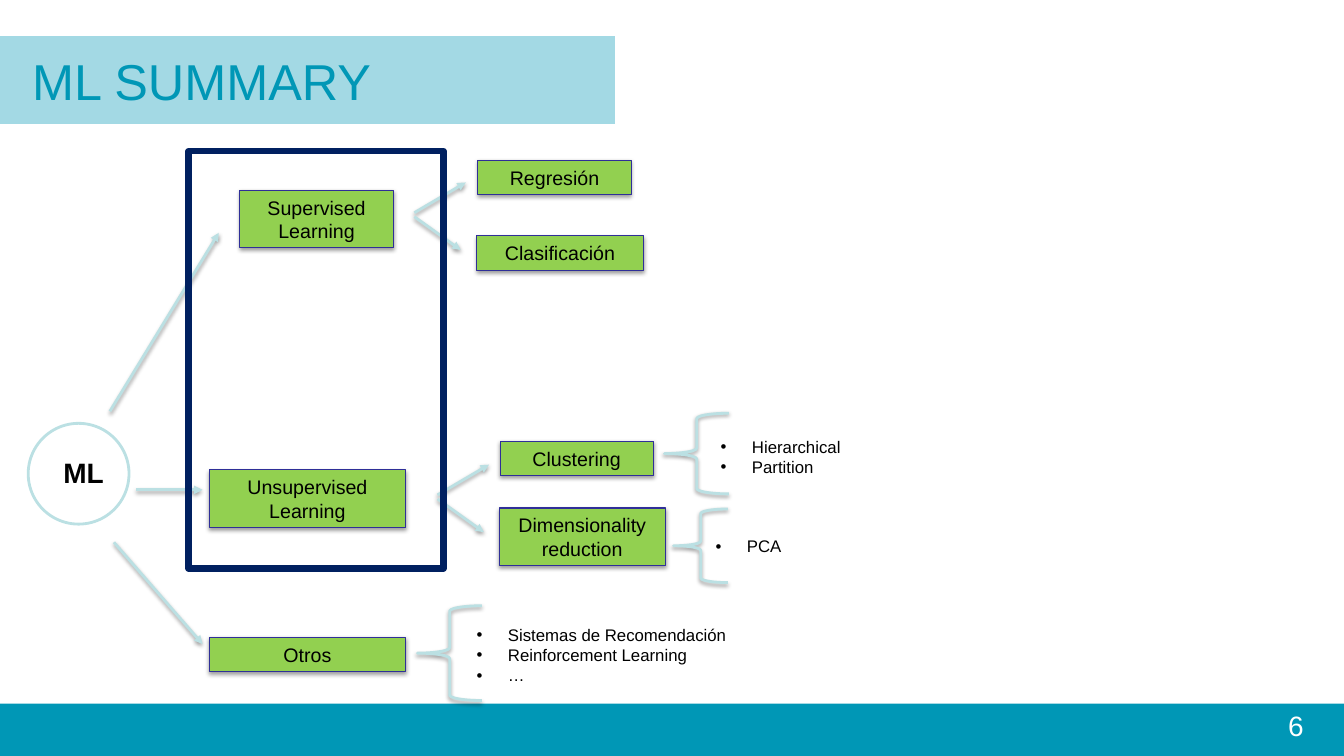
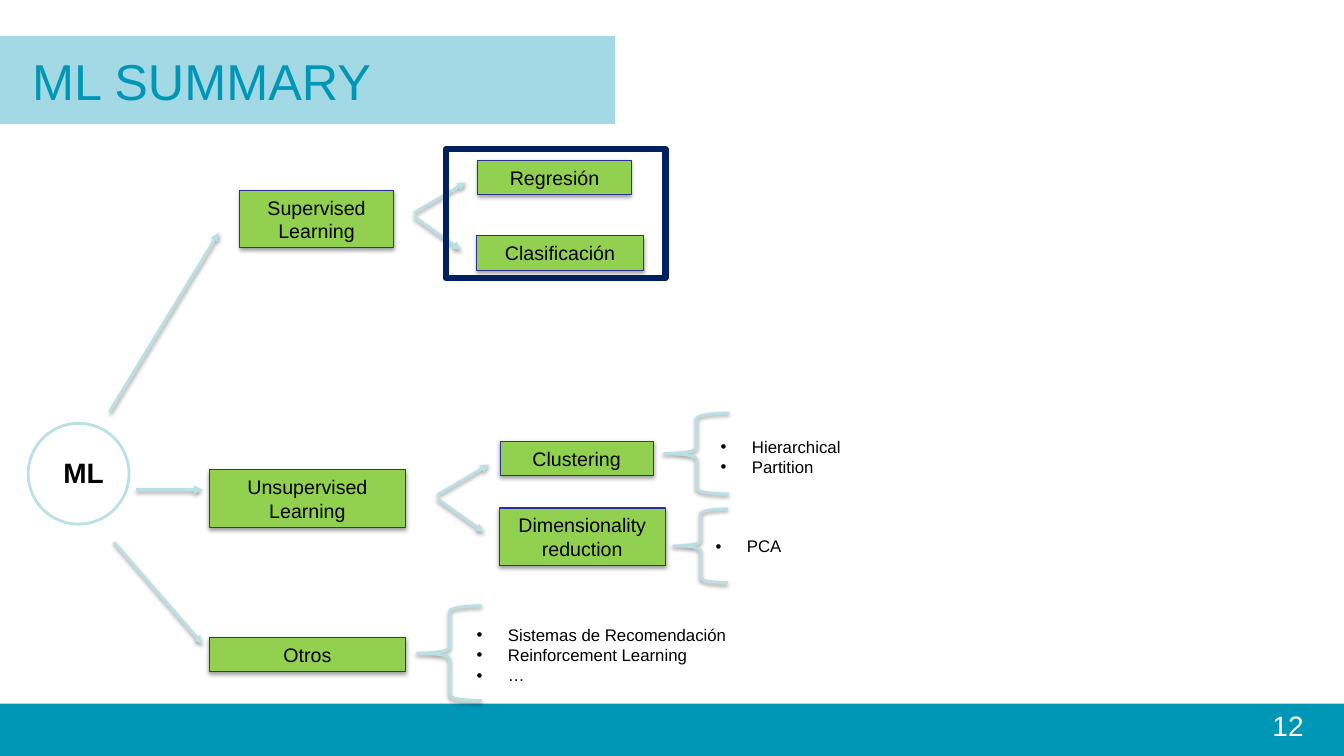
from lxml import etree
from pptx import Presentation, util as u
from pptx.dml.color import RGBColor
from pptx.enum import shapes, text
from pptx.oxml.ns import qn

WIDTH, HEIGHT = 13.33, 7.5
FONT = "Arial"
TEAL, WHITE, BLACK = "0097B6", "FFFFFF", "000000"
GREEN, INDIGO, PALE, NAVY = "92D050", "2F2F98", "BBE0E3", "002060"
KIND, ALIGN, ANCHOR = shapes.MSO_SHAPE, text.PP_ALIGN, text.MSO_ANCHOR

TITLE = "ML SUMMARY"
# Slide number and the frame that marks the current topic
SLIDES = [
    ("6", (1.87, 1.5, 2.53, 4.14)),
    ("12", (4.42, 1.48, 2.18, 1.28)),
]
ONE_LINE, TWO_LINES = 0.34, 0.57
TOPICS = [
    ("Supervised Learning", 2.38, 1.89, 1.52, TWO_LINES),
    ("Unsupervised Learning", 2.08, 4.66, 1.94, TWO_LINES),
    ("Otros", 2.08, 6.32, 1.94, ONE_LINE),
    ("Regresión", 4.74, 1.59, 1.52, ONE_LINE),
    ("Clasificación", 4.73, 2.34, 1.65, ONE_LINE),
    ("Clustering", 4.96, 4.38, 1.52, ONE_LINE),
    ("Dimensionality reduction", 4.95, 5.04, 1.65, TWO_LINES),
]
ROOT_ARROWS = [
    ((1.09, 4.08), (2.17, 2.31)),
    ((1.35, 4.86), (2.01, 4.86)),
    ((1.13, 5.38), (2.01, 6.39)),
]
FORKS = [(4.11, 2.11), (4.34, 4.91)]
FORK_GAP, FORK_UP, FORK_DOWN = 0.04, (0.51, -0.3), (0.46, 0.33)
# Brace position and size, list position, list items
DETAILS = [
    ((6.59, 4.1, 0.64, 0.8), (7.05, 4.28), ["Hierarchical", "Partition"]),
    ((6.68, 5.05, 0.54, 0.73), (7, 5.27), ["PCA"]),
    ((4.14, 6.01, 0.64, 0.94), (4.63, 6.15),
     ["Sistemas de Recomendación", "Reinforcement Learning", "…"]),
]
LIST_WIDTH, LIST_LINE, LIST_PADDING, LIST_INDENT = 3.24, 0.2, 0.1, 0.31


def rgb(color):
    return RGBColor.from_string(color)


def add_xml(parent, tag, **attributes):
    values = {name: str(value) for name, value in attributes.items()}
    return etree.SubElement(parent, qn(tag), values)


def add_shadow(properties):
    for effects in properties.findall(qn("a:effectLst")):
        properties.remove(effects)
    shadow = add_xml(add_xml(properties, "a:effectLst"), "a:outerShdw",
                     blurRad=u.Pt(3.1), dist=u.Pt(1.6), dir=90 * 60000,
                     rotWithShape=0)
    add_xml(add_xml(shadow, "a:srgbClr", val=BLACK), "a:alpha", val=38000)


def add_shape(slide, kind, box, fill=None, line=None, width=2, shadow=False):
    shape = slide.shapes.add_shape(kind, *map(u.Inches, box))
    shape.shadow.inherit = False
    if fill:
        shape.fill.solid()
        shape.fill.fore_color.rgb = rgb(fill)
    else:
        shape.fill.background()
    if line:
        shape.line.color.rgb = rgb(line)
        shape.line.width = u.Pt(width)
    else:
        shape.line.fill.background()
    if shadow:
        add_shadow(shape.element.spPr)
    return shape


def write(shape, lines, size=14, color=BLACK, bold=False, align=ALIGN.LEFT,
          anchor=ANCHOR.MIDDLE, left=0.1, right=0.1, bullets=False):
    frame = shape.text_frame
    frame.word_wrap = True
    frame.vertical_anchor = anchor
    frame.margin_left, frame.margin_right = u.Inches(left), u.Inches(right)
    frame.text = "\n".join(lines)
    for paragraph in frame.paragraphs:
        paragraph.alignment = align
        font = paragraph.runs[0].font
        font.name, font.size, font.bold = FONT, u.Pt(size), bold
        font.color.rgb = rgb(color)
        if bullets:
            properties = paragraph._p.get_or_add_pPr()
            properties.set("marL", str(u.Inches(LIST_INDENT)))
            properties.set("indent", str(-u.Inches(LIST_INDENT)))
            add_xml(properties, "a:buFont", typeface=FONT)
            add_xml(properties, "a:buChar", char="•")


def add_arrow(slide, start, end):
    arrow = slide.shapes.add_connector(shapes.MSO_CONNECTOR.STRAIGHT,
                                       *map(u.Inches, start + end))
    arrow.line.color.rgb = rgb(PALE)
    arrow.line.width = u.Pt(2)
    add_xml(arrow.line._get_or_add_ln(), "a:tailEnd", type="triangle")
    add_shadow(arrow._element.spPr)


def add_bands(slide, number):
    """Draw the footer with the slide number and the title band."""
    footer = add_shape(slide, KIND.RECTANGLE, (0, 6.98, WIDTH, 0.52), TEAL)
    write(footer, [number], size=20, color=WHITE, align=ALIGN.RIGHT,
          anchor=ANCHOR.TOP, right=0.4)
    band = add_shape(slide, KIND.RECTANGLE, (0, 0.36, 6.1, 0.87), TEAL)
    color = band.element.spPr.find(qn("a:solidFill")).find(qn("a:srgbClr"))
    add_xml(color, "a:alpha", val=36000)
    write(band, [TITLE], size=36, color=TEAL, left=0.32)


def add_tree(slide):
    add_shape(slide, KIND.OVAL, (0.28, 4.2, 1, 1), WHITE, PALE)
    root = add_shape(slide, KIND.RECTANGLE, (0.53, 4.47, 0.65, 0.44), WHITE, WHITE)
    write(root, ["ML"], size=20, bold=True)

    for name, *box in TOPICS:
        topic = add_shape(slide, KIND.RECTANGLE, box, GREEN, INDIGO, 0.75, shadow=True)
        write(topic, [name], align=ALIGN.CENTER)

    for start, end in ROOT_ARROWS:
        add_arrow(slide, start, end)
    for x, y in FORKS:
        for top, (across, down) in ((y, FORK_UP), (y + FORK_GAP, FORK_DOWN)):
            add_arrow(slide, (x, top), (x + across, top + down))

    for brace, (left, top), items in DETAILS:
        height = LIST_LINE * len(items) + LIST_PADDING
        box = slide.shapes.add_textbox(*map(u.Inches, (left, top, LIST_WIDTH, height)))
        write(box, items, size=12, anchor=ANCHOR.TOP, bullets=True)
        add_shape(slide, KIND.LEFT_BRACE, brace, line=PALE, shadow=True)


def main():
    presentation = Presentation()
    presentation.slide_width = u.Inches(WIDTH)
    presentation.slide_height = u.Inches(HEIGHT)
    for number, frame in SLIDES:
        slide = presentation.slides.add_slide(presentation.slide_layouts[6])
        add_bands(slide, number)
        add_tree(slide)
        add_shape(slide, KIND.RECTANGLE, frame, line=NAVY, width=4.5)
    presentation.save("out.pptx")


if __name__ == "__main__":
    main()
